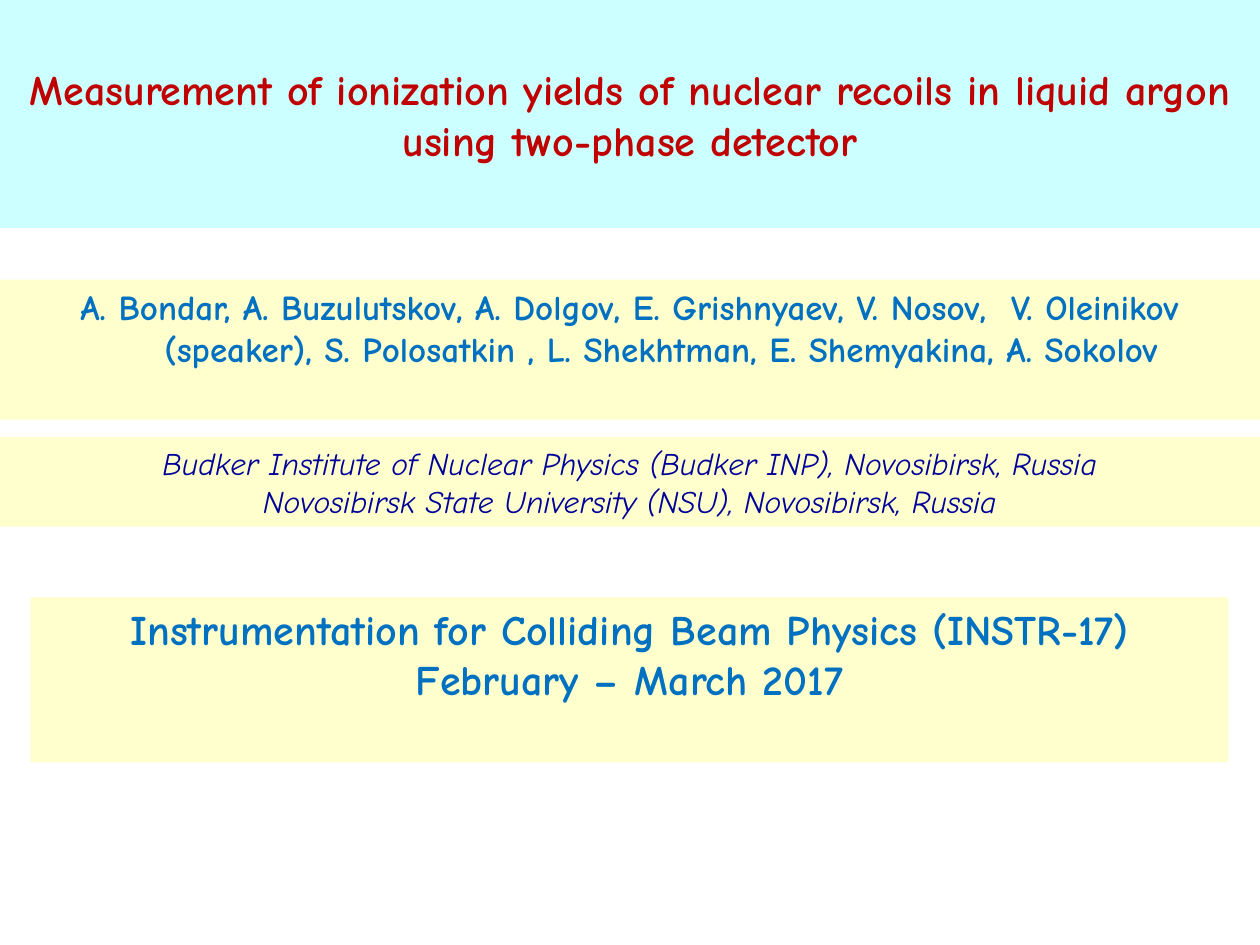
from dataclasses import dataclass

from pptx import Presentation
from pptx.dml.color import RGBColor
from pptx.enum.shapes import MSO_SHAPE
from pptx.enum.text import MSO_ANCHOR, PP_ALIGN
from pptx.util import Inches, Pt


@dataclass(frozen=True)
class Theme:
    """Colours, type sizes and font of the title slide."""
    font: str = "Comic Neue"
    cyan: RGBColor = RGBColor(0xCC, 0xFF, 0xFF)
    cream: RGBColor = RGBColor(0xFF, 0xFF, 0xCD)
    red: RGBColor = RGBColor(0xC0, 0x00, 0x00)
    blue: RGBColor = RGBColor(0x00, 0x70, 0xC0)
    navy: RGBColor = RGBColor(0x00, 0x00, 0x99)
    heading: Pt = Pt(24)
    names: Pt = Pt(20)
    places: Pt = Pt(18)


THEME = Theme()


def set_attributes(target, values):
    """Set each named attribute of the target."""
    for name, value in values.items():
        setattr(target, name, value)


def add_band(slide, box, lines, fill, font, anchor=MSO_ANCHOR.TOP, hanging=0):
    """Add a filled band with centred lines in the given box."""
    shape = slide.shapes.add_shape(MSO_SHAPE.RECTANGLE, *map(Inches, box))
    shape.shadow.inherit = False
    shape.fill.solid()
    shape.fill.fore_color.rgb = fill
    shape.line.fill.background()
    frame = shape.text_frame
    set_attributes(frame, {"word_wrap": True, "vertical_anchor": anchor})
    frame.text = "\n".join(lines)
    for paragraph in frame.paragraphs:
        paragraph.alignment = PP_ALIGN.CENTER
        if hanging:
            properties = paragraph._p.get_or_add_pPr()
            properties.set("marL", str(Inches(hanging)))
            properties.set("indent", str(-Inches(hanging)))
        for run in paragraph.runs:
            run.font.color.rgb = font["color"]
            set_attributes(run.font, {"name": THEME.font, **font["format"]})


def add_title(slide, box):
    """Add the talk title band."""
    add_band(
        slide, box,
        ["Measurement of ionization yields of nuclear recoils in liquid argon using two-phase detector"],
        THEME.cyan,
        {"color": THEME.red, "format": {"size": THEME.heading, "bold": True}},
        anchor=MSO_ANCHOR.MIDDLE,
    )


def add_authors(slide, box):
    """Add the list of authors."""
    add_band(
        slide, box,
        ["A. Bondar, A. Buzulutskov, A. Dolgov, E. Grishnyaev, V. Nosov,  V. Oleinikov (speaker), "
         "S. Polosatkin , L. Shekhtman, E. Shemyakina, A. Sokolov"],
        THEME.cream,
        {"color": THEME.blue, "format": {"size": THEME.names, "bold": True}},
        hanging=0.5,
    )


def add_affiliations(slide, box):
    """Add the institutes of the authors."""
    add_band(
        slide, box,
        ["Budker Institute of Nuclear Physics (Budker INP), Novosibirsk, Russia",
         "Novosibirsk State University (NSU), Novosibirsk, Russia"],
        THEME.cream,
        {"color": THEME.navy, "format": {"size": THEME.places, "italic": True}},
        anchor=MSO_ANCHOR.MIDDLE,
    )


def add_conference(slide, box):
    """Add the conference name and date."""
    add_band(
        slide, box,
        ["Instrumentation for Colliding Beam Physics (INSTR-17)", "February – March 2017"],
        THEME.cream,
        {"color": THEME.blue, "format": {"size": THEME.heading, "bold": True}},
        hanging=0.38,
    )


def main():
    """Build and save the title slide."""
    presentation = Presentation()
    set_attributes(presentation, {"slide_width": Inches(10), "slide_height": Inches(7.5)})
    slide = presentation.slides.add_slide(presentation.slide_layouts[6])
    add_title(slide, (0, 0, 10, 1.81))
    add_conference(slide, (0.24, 4.74, 9.51, 1.31))
    add_authors(slide, (0, 2.22, 10, 1.11))
    add_affiliations(slide, (0, 3.47, 10, 0.71))
    presentation.save("out.pptx")


if __name__ == "__main__":
    main()
